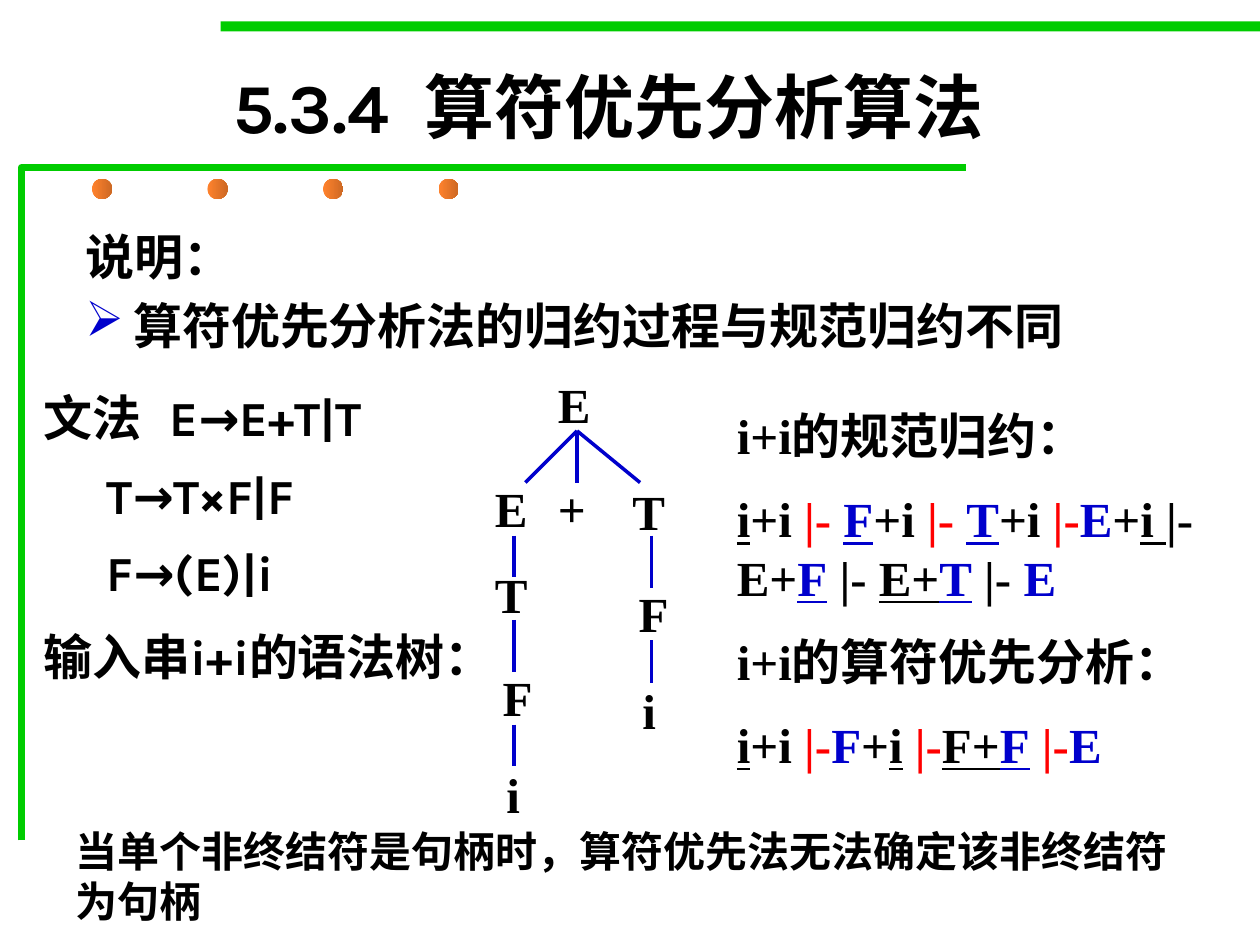
from dataclasses import dataclass
from typing import Any, Optional

import pptx
import pptx.dml.color
import pptx.enum.shapes
import pptx.enum.text
import pptx.oxml
import pptx.oxml.ns
import pptx.util

Inches = pptx.util.Inches
Align = pptx.enum.text.PP_ALIGN
Anchor = pptx.enum.text.MSO_ANCHOR
Preset = pptx.enum.shapes.MSO_SHAPE


@dataclass(frozen=True)
class Theme:
    sans: str = "Karla"
    serif: str = "Times New Roman"
    black: str = "000000"
    blue: str = "0000CC"
    red: str = "FF0000"
    green: str = "00CC00"
    dot_light: str = "FF822D"
    dot_dark: str = "CD6924"
    title_size: float = 40
    text_size: float = 28
    note_size: float = 24


THEME = Theme()


@dataclass(frozen=True)
class Span:
    text: str
    color: str = THEME.black
    underline: bool = False
    font: Optional[str] = None


@dataclass(frozen=True)
class Node:
    text: str
    left: float
    top: float


@dataclass(frozen=True)
class Edge:
    x1: float
    y1: float
    x2: float
    y2: float


def rgb(value: str) -> pptx.dml.color.RGBColor:
    return pptx.dml.color.RGBColor.from_string(value)


def add_text(shapes: Any, left: float, top: float, width: float, height: float,
             lines: list[list[Span]], font: str = THEME.serif,
             size: float = THEME.text_size, gap: float = 0.5,
             line_spacing: Optional[float] = None) -> Any:
    """Add a text box; gap is the space between paragraphs in type sizes."""
    box = shapes.add_textbox(Inches(left), Inches(top), Inches(width), Inches(height))
    frame = box.text_frame
    frame.word_wrap = True
    for index, spans in enumerate(lines):
        para = frame.paragraphs[0] if index == 0 else frame.add_paragraph()
        if index:
            para.space_before = pptx.util.Pt(size * gap)
        if line_spacing:
            para.line_spacing = line_spacing
        for span in spans:
            run = para.add_run()
            run.text = span.text
            run.font.name = span.font or font
            run.font.size = pptx.util.Pt(size)
            run.font.bold = True
            run.font.underline = span.underline
            run.font.color.rgb = rgb(span.color)
    return frame


def add_bullet(para: Any, mark: str, color: str, indent: float) -> None:
    props = para._p.get_or_add_pPr()
    props.set("marL", str(Inches(indent)))
    props.set("indent", str(-Inches(indent)))
    space = pptx.oxml.ns.nsdecls("a")
    for xml in (f'<a:buClr {space}><a:srgbClr val="{color}"/></a:buClr>',
                f'<a:buChar {space} char="{mark}"/>'):
        props.append(pptx.oxml.parse_xml(xml))


def add_preset(shapes: Any, kind: Any, left: float, top: float,
               width: float, height: float) -> Any:
    shape = shapes.add_shape(kind, Inches(left), Inches(top), Inches(width), Inches(height))
    shape.shadow.inherit = False
    shape.line.fill.background()
    return shape


def add_edge(shapes: Any, edge: Edge) -> None:
    line = shapes.add_connector(pptx.enum.shapes.MSO_CONNECTOR.STRAIGHT,
                                Inches(edge.x1), Inches(edge.y1),
                                Inches(edge.x2), Inches(edge.y2))
    line.line.color.rgb = rgb(THEME.blue)
    line.line.width = pptx.util.Pt(2)
    line._element.spPr.append(
        pptx.oxml.parse_xml(f'<a:effectLst {pptx.oxml.ns.nsdecls("a")}/>'))


def add_frame(shapes: Any) -> None:
    """Green bar, corner line and the row of dots."""
    bar = add_preset(shapes, Preset.RECTANGLE, 1.75, 0.17, 8.25, 0.08)
    bar.fill.solid()
    bar.fill.fore_color.rgb = rgb(THEME.green)

    builder = shapes.build_freeform(Inches(0.17), Inches(6.67))
    builder.add_line_segments([(Inches(0.17), Inches(1.33)),
                               (Inches(7.67), Inches(1.33))], close=False)
    corner = builder.convert_to_shape()
    corner.shadow.inherit = False
    corner.fill.background()
    corner.line.color.rgb = rgb(THEME.green)
    corner.line.width = pptx.util.Pt(4)

    for index in range(4):
        dot = add_preset(shapes, Preset.OVAL, 0.73 + index * 0.917, 1.42, 0.16, 0.16)
        dot.fill.gradient()
        dot.fill.gradient_angle = 0
        for stop, color in zip(dot.fill.gradient_stops, (THEME.dot_light, THEME.dot_dark)):
            stop.color.rgb = rgb(color)


def add_tree(shapes: Any) -> None:
    """Syntax tree of i+i."""
    nodes = [Node("E", 4.33, 2.92), Node("E", 3.83, 3.75), Node("+", 4.33, 3.75),
             Node("T", 4.92, 3.77), Node("T", 3.83, 4.43), Node("F", 3.89, 5.25),
             Node("i", 3.92, 6.02), Node("F", 4.97, 4.58), Node("i", 5, 5.35)]
    branches = [Edge(4.58, 3.42, x, 3.83) for x in (4.17, 4.58, 5.08)]
    stems = [Edge(x, top, x, bottom) for x, top, bottom in (
        (4.08, 4.25, 4.58), (4.08, 4.92, 5.33), (4.08, 5.75, 6.08),
        (5.17, 4.25, 4.67), (5.17, 5.08, 5.42))]
    tree = shapes.add_group_shape().shapes
    for node in nodes:
        add_text(tree, node.left, node.top, 0.42, 0.57, [[Span(node.text)]])
    for edge in branches + stems:
        add_edge(tree, edge)


def add_reductions(shapes: Any) -> None:
    """Canonical reduction and operator-precedence analysis."""
    blue, red = THEME.blue, THEME.red
    canonical = [
        Span("i", underline=True), Span("+i "), Span("|- ", red),
        Span("F", blue, True), Span("+i "), Span("|- ", red),
        Span("T", blue, True), Span("+i "), Span("|-", red),
        Span("E", blue), Span("+"), Span("i ", underline=True), Span("|-E+"),
        Span("F", blue, True), Span(" ", blue), Span("|- "),
        Span("E+", underline=True), Span("T", blue, True), Span(" |- "), Span("E", blue)]
    precedence = [
        Span("i", underline=True), Span("+i "), Span("|-", red), Span("F", blue),
        Span("+"), Span("i", underline=True), Span(" "), Span("|-", red),
        Span("F+", underline=True), Span("F", blue, True), Span(" "),
        Span("|-", red), Span("E", blue)]
    add_text(shapes, 5.75, 3.17, 4, 3.14,
             [[Span("i+i的规范归约：")], canonical, [Span("i+i的算符优先分析：")], precedence])


def main() -> None:
    deck = pptx.Presentation()
    deck.slide_width, deck.slide_height = Inches(10), Inches(7.5)
    page = deck.slides.add_slide(deck.slide_layouts[6])
    shapes = page.shapes
    add_frame(shapes)

    # Title
    title = add_text(shapes, 0.58, 0.42, 8.5, 0.83,
                     [[Span("5.3.4  ", font=THEME.sans), Span("算符优先分析算法")]],
                     size=THEME.title_size)
    title.vertical_anchor = Anchor.MIDDLE
    title.paragraphs[0].alignment = Align.CENTER

    # Explanation
    body = add_text(shapes, 0.58, 1.75, 8.5, 1.17,
                    [[Span("说明：")], [Span("算符优先分析法的归约过程与规范归约不同")]],
                    font=THEME.sans, gap=0.2)
    add_bullet(body.paragraphs[1], "➢", THEME.blue, 0.38)

    # Grammar and input string
    rules = ("文法 \tE→E+T|T", "\tT→T×F|F", "\tF→(E)|i")
    add_text(shapes, 0.25, 3.08, 3.33, 1.83, [[Span(rule)] for rule in rules],
             font=THEME.sans, line_spacing=0.9)
    add_text(shapes, 0.25, 4.92, 3.85, 0.57, [[Span("输入串i+i的语法树：")]], font=THEME.sans)

    add_tree(shapes)
    add_reductions(shapes)

    # Conclusion
    add_text(shapes, 0.5, 6.5, 8.92, 0.9,
             [[Span("当单个非终结符是句柄时，算符优先法无法确定该非终结符为句柄")]],
             size=THEME.note_size)
    deck.save("out.pptx")


if __name__ == "__main__":
    main()
